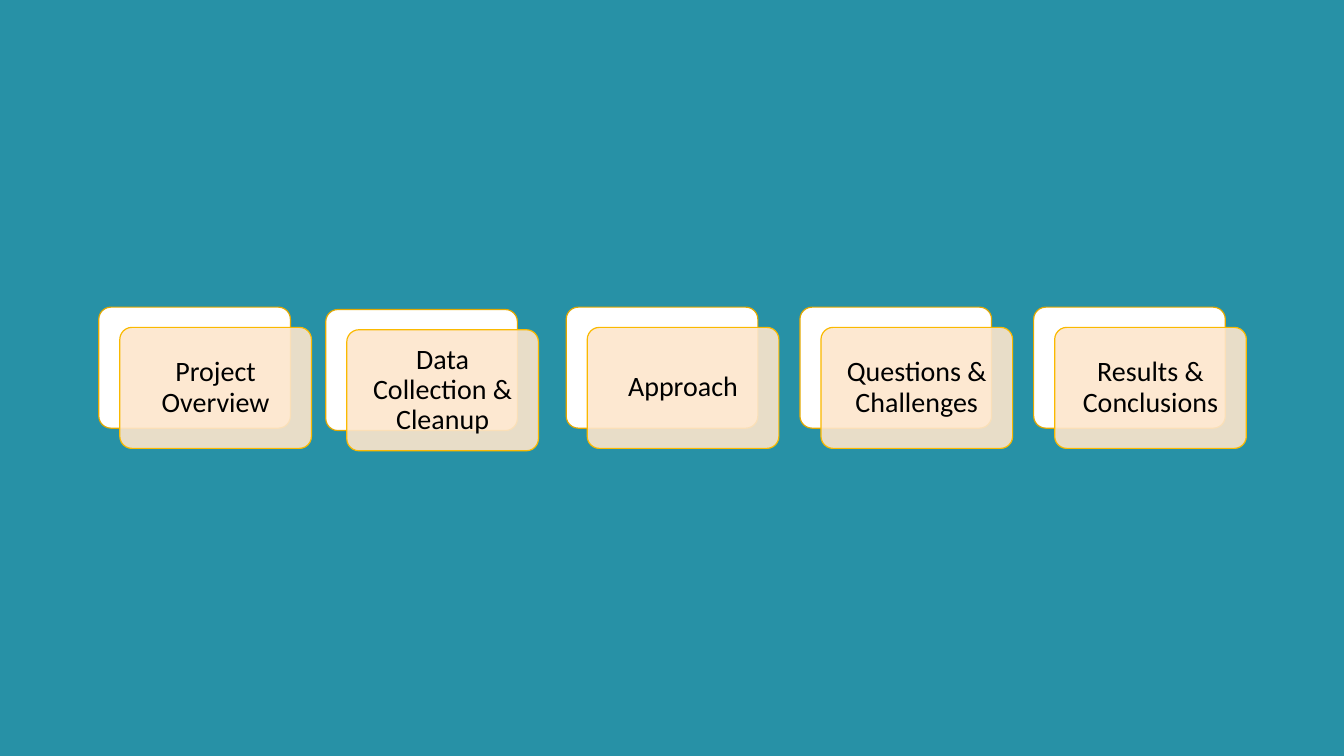
from lxml.etree import SubElement
from pptx import Presentation
from pptx.dml.color import RGBColor
from pptx.enum.shapes import MSO_SHAPE
from pptx.enum.text import MSO_ANCHOR, PP_ALIGN
from pptx.oxml.ns import qn
from pptx.util import Cm, Pt


def rgb(color):
    return RGBColor.from_string(color)


def add_box(s, shape, x, y, w, h, fill, line=None):
    """Add a flat filled shape, measured in centimetres."""
    sp = s.shapes.add_shape(shape, Cm(x), Cm(y), Cm(w), Cm(h))
    sp.shadow.inherit = False
    sp.fill.solid()
    sp.fill.fore_color.rgb = rgb(fill)
    if line:
        sp.adjustments[0] = 0.1
        sp.line.color.rgb = rgb(line)
        sp.line.width = Pt(0.85)
    else:
        sp.line.fill.background()
    return sp


SLIDE_W, SLIDE_H = 33.87, 19.05
CARD_W, CARD_H = 4.83, 3.05
LEFT, TOP, STEP = 2.49, 7.74, 5.89
OFFSET_X, OFFSET_Y = 0.53, 0.51

# Label, then the nudge of the card from the even grid
topics = [
    ("Project Overview", 0, 0),
    ("Data Collection & Cleanup", -0.17, 0.06),
    ("Approach", 0, 0),
    ("Questions & Challenges", 0, 0),
    ("Results & Conclusions", 0, 0),
]

prs = Presentation()
prs.slide_width, prs.slide_height = Cm(SLIDE_W), Cm(SLIDE_H)
s = prs.slides.add_slide(prs.slide_layouts[6])

add_box(s, MSO_SHAPE.RECTANGLE, 0, 0, SLIDE_W, SLIDE_H, "2791A6")

for i, (label, dx, dy) in enumerate(topics):
    x, y = LEFT + i * STEP + dx, TOP + dy
    add_box(s, MSO_SHAPE.ROUNDED_RECTANGLE, x, y, CARD_W, CARD_H, "FFFFFF", "E3A800")
    card = add_box(s, MSO_SHAPE.ROUNDED_RECTANGLE, x + OFFSET_X, y + OFFSET_Y,
                   CARD_W, CARD_H, "FDE6CC", "FAB900")
    fill_color = card._element.spPr.find(qn("a:solidFill"))[0]
    SubElement(fill_color, qn("a:alpha"), val="90000")

    tf = card.text_frame
    tf.word_wrap = True
    tf.vertical_anchor = MSO_ANCHOR.MIDDLE
    tf.margin_left = tf.margin_right = tf.margin_top = tf.margin_bottom = Cm(0.2)
    p = tf.paragraphs[0]
    p.alignment = PP_ALIGN.CENTER
    p.line_spacing = 0.9
    p.space_after = Pt(7)
    r = p.add_run()
    r.text = label
    r.font.name = "Calibri"
    r.font.size = Pt(20)
    r.font.color.rgb = rgb("000000")

prs.save("out.pptx")
